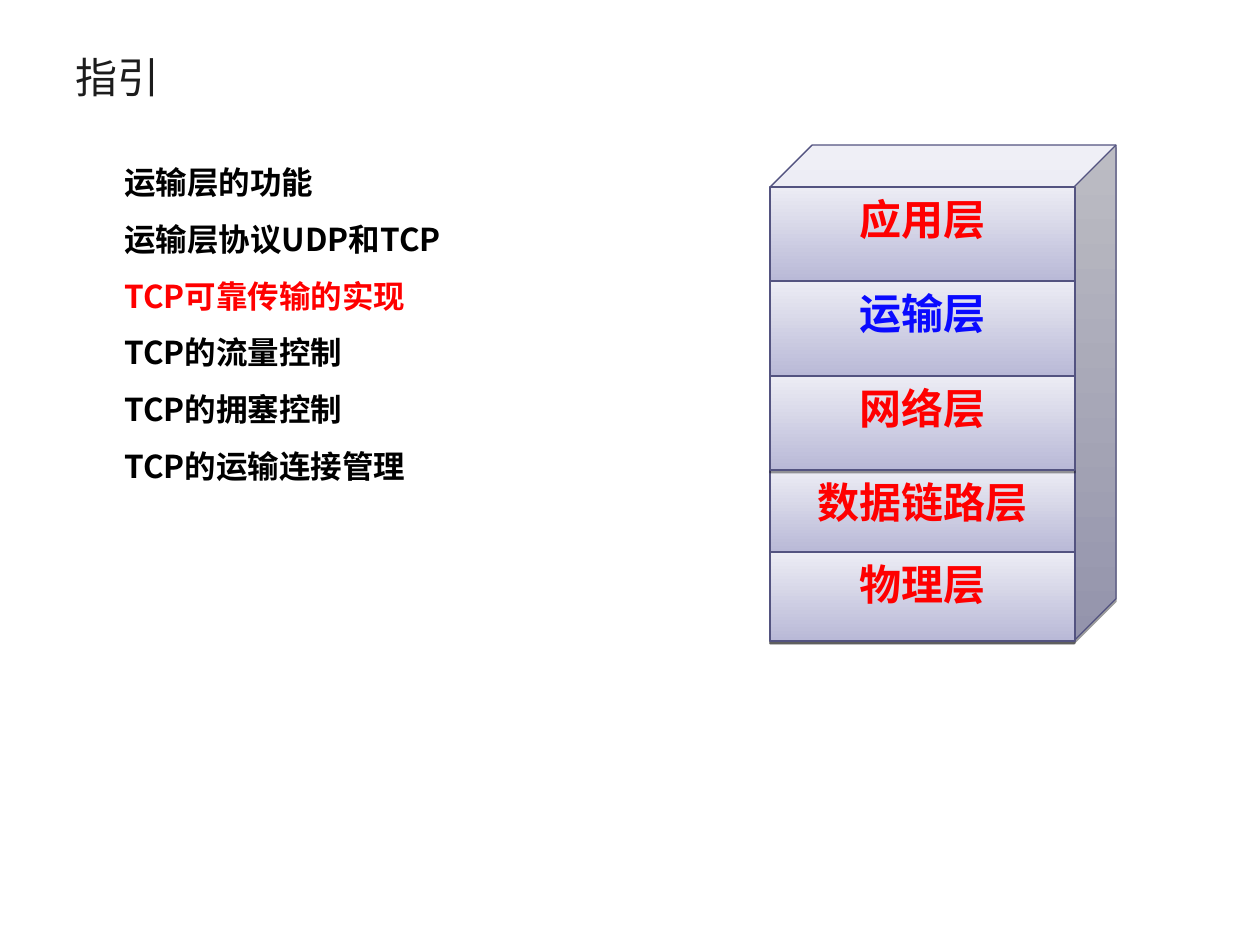
from lxml import etree
from pptx import Presentation
from pptx.dml.color import RGBColor
from pptx.enum.shapes import MSO_CONNECTOR, MSO_SHAPE
from pptx.enum.text import MSO_ANCHOR, PP_ALIGN
from pptx.oxml.ns import qn
from pptx.util import Pt

PX = 914400 / 126
INK = RGBColor(0x1C, 0x1C, 0x1C)
BLACK = RGBColor(0, 0, 0)
RED = RGBColor(0xFF, 0, 0)
BLUE = RGBColor(0x0A, 0x0A, 0xFF)
DARK = RGBColor(0xB9, 0xB9, 0xD7)
PALE = RGBColor(0xEC, 0xEC, 0xF4)
EDGE = RGBColor(0x53, 0x53, 0x80)
SANS, LATO = "Noto Sans CJK SC", "Lato"
CUBE, RECT = MSO_SHAPE.CUBE, MSO_SHAPE.RECTANGLE
LINE = MSO_CONNECTOR.STRAIGHT
TOP, MIDDLE = MSO_ANCHOR.TOP, MSO_ANCHOR.MIDDLE
LEFT, CENTER = PP_ALIGN.LEFT, PP_ALIGN.CENTER


def emu(*nums):
    return [round(num * PX) for num in nums]


def write(para, text, size=24, font=SANS, color=BLACK, bold=True,
          align=LEFT, indent=0, pitch=None):
    """Fill a paragraph with one formatted run."""
    para.alignment = align
    if indent:
        para._p.get_or_add_pPr().set("marL", str(emu(indent)[0]))
    if pitch:
        para.line_spacing = Pt(pitch)
    run = para.add_run()
    run.text = text
    run.font.size, run.font.bold, run.font.name = Pt(size), bold, font
    run.font.color.rgb = color
    east = etree.SubElement(run.font._element, qn("a:ea"))
    east.set("typeface", font)


class Deck:
    """Draws styled elements on the current slide."""

    def __init__(self):
        self.show = Presentation()
        self.show.slide_width, self.show.slide_height = emu(1260, 945)
        self.slide = self.show.slides.add_slide(self.show.slide_layouts[6])
        self.group = self.slide.shapes.add_group_shape()

    def text(self, box, lines, anchor=TOP, **form):
        frame = self.slide.shapes.add_textbox(*emu(*box)).text_frame
        frame.word_wrap, frame.vertical_anchor = True, anchor
        for num, (words, color) in enumerate(lines):
            para = frame.add_paragraph() if num else frame.paragraphs[0]
            write(para, words, color=color, **form)

    def block(self, kind, box):
        shape = self.group.shapes.add_shape(kind, *emu(*box))
        shape.line.color.rgb, shape.line.width = EDGE, Pt(0.75)
        shape.fill.gradient()
        shape.fill.gradient_angle = 90
        for stop, color in zip(shape.fill.gradient_stops, (DARK, PALE)):
            stop.color.rgb = color
        shape.shadow.inherit = False
        effects = shape._element.spPr.find(qn("a:effectLst"))
        shade = etree.SubElement(effects, qn("a:outerShdw"), dist="20320",
                                 dir="5400000", rotWithShape="0")
        tint = etree.SubElement(shade, qn("a:srgbClr"), val="000000")
        etree.SubElement(tint, qn("a:alpha"), val="38000")
        return shape

    def layer(self, box, words, **form):
        frame = self.block(RECT, box).text_frame
        frame.word_wrap, frame.vertical_anchor = True, TOP
        write(frame.paragraphs[0], words, align=CENTER, **form)

    def line(self, *ends):
        line = self.group.shapes.add_connector(LINE, *emu(*ends))
        line.line.color.rgb, line.line.width = EDGE, Pt(0.75)
        etree.SubElement(line._element.spPr, qn("a:effectLst"))


def main():
    deck = Deck()
    deck.text((63, 38, 1134, 77), [("指引", INK)], anchor=MIDDLE, bold=False)
    topics = [("运输层的功能", BLACK), ("运输层协议UDP和TCP", BLACK),
              ("TCP可靠传输的实现", RED), ("TCP的流量控制", BLACK),
              ("TCP的拥塞控制", BLACK), ("TCP的运输连接管理", BLACK)]
    deck.text((63, 138, 1134, 659), topics, size=18, indent=49, pitch=32.4)

    left, right = 770, 1075
    deck.block(CUBE, (left, 145, 346, 496)).adjustments[0] = 0.122
    layers = [("应用层", 187, 281, SANS, RED), ("运输层", 281, 376, SANS, BLUE),
              ("数据链路层", 470, 552, LATO, RED),
              ("网络层", 376, 470, LATO, RED), ("物理层", 552, 641, LATO, RED)]
    for words, top, base, font, color in layers:
        deck.layer((left, top, right - left, base - top), words,
                   font=font, color=color)
        deck.line(left, base, right, base)
        for side in (left, right):
            deck.line(side, top, side, base)
    deck.show.save("out.pptx")


if __name__ == "__main__":
    main()
